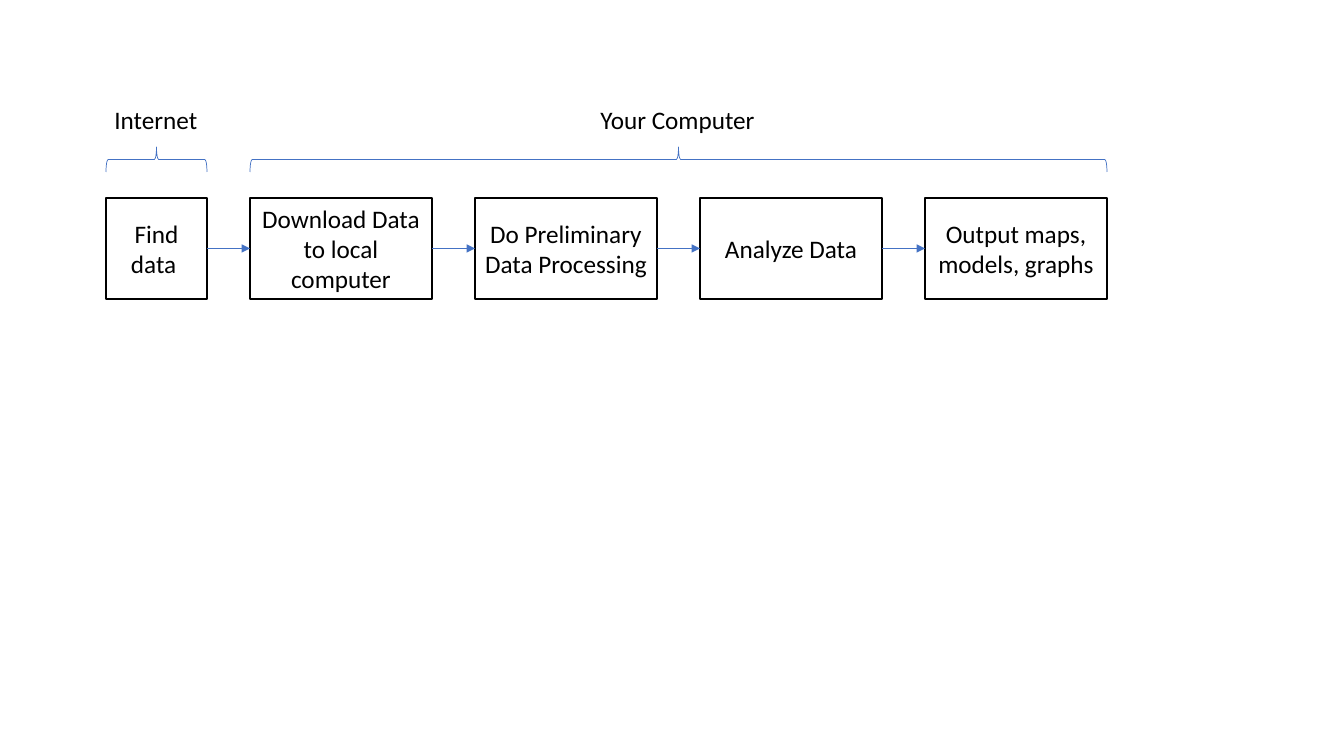
from pptx import Presentation, util as u
from pptx.dml.color import RGBColor
from pptx.enum import shapes, text
from pptx.oxml import ns, xmlchemy

# Content: each place with the steps done there and their box width
PLACES = [
    ("Internet", 104, 101, ["Find data "]),
    ("Your Computer", 176, 182, [
        "Download Data to local computer",
        "Do Preliminary Data Processing",
        "Analyze Data",
        "Output maps, models, graphs",
    ]),
]
COLORS = {"ink": "000000", "paper": "FFFFFF", "accent": "4472C4"}
FONT, TEXT_SIZE = "Calibri", 18

# Layout in px
SLIDE_W, SLIDE_H = 1344, 756
LEFT, GAP = 106, 43
STEP_TOP, STEP_H, STEP_INSET = 198, 101, 9
BRACE_TOP, BRACE_DEPTH = 147, 25
LABEL_TOP, LABEL_H = 99, 40


def px(length):
    return u.Emu(round(length * 914400 / 100.8))


def color(name):
    return RGBColor.from_string(COLORS[name])


def write(frame, words):
    run = frame.paragraphs[0].add_run()
    run.text = words
    run.font.name = FONT
    run.font.size = u.Pt(TEXT_SIZE)
    run.font.color.rgb = color("ink")


def outline(part, name, width):
    part.line.color.rgb = color(name)
    part.line.width = u.Pt(width)


def add_step(slide, words, left, width):
    step = slide.shapes.add_shape(shapes.MSO_SHAPE.RECTANGLE, px(left),
                                  px(STEP_TOP), px(width), px(STEP_H))
    step.shadow.inherit = False
    step.fill.solid()
    step.fill.fore_color.rgb = color("paper")
    outline(step, "ink", 1)
    frame = step.text_frame
    frame.word_wrap = True
    frame.margin_left = frame.margin_right = px(STEP_INSET)
    frame.vertical_anchor = text.MSO_ANCHOR.MIDDLE
    frame.paragraphs[0].alignment = text.PP_ALIGN.CENTER
    write(frame, words)
    return step


def add_arrow(slide, source, target):
    arrow = slide.shapes.add_connector(shapes.MSO_CONNECTOR.STRAIGHT, 0, 0, 0, 0)
    arrow.begin_connect(source, 3)
    arrow.end_connect(target, 1)
    outline(arrow, "accent", 0.5)
    head = xmlchemy.OxmlElement("a:tailEnd")
    head.set("type", "triangle")
    properties = arrow.line._get_or_add_ln().getparent()
    properties.find(ns.qn("a:ln")).append(head)
    properties.append(xmlchemy.OxmlElement("a:effectLst"))


def add_brace(slide, left, right):
    # A right brace turned to point up, rotated about its centre
    span = right - left
    middle_x = (left + right) / 2
    middle_y = BRACE_TOP + BRACE_DEPTH / 2
    brace = slide.shapes.add_shape(
        shapes.MSO_SHAPE.RIGHT_BRACE, px(middle_x - BRACE_DEPTH / 2),
        px(middle_y - span / 2), px(BRACE_DEPTH), px(span))
    brace.rotation = 270
    brace.shadow.inherit = False
    brace.fill.background()
    outline(brace, "accent", 0.5)


def add_label(slide, words, middle, width):
    label = slide.shapes.add_textbox(px(middle - width / 2), px(LABEL_TOP),
                                     px(width), px(LABEL_H))
    label.text_frame.word_wrap = False
    label.text_frame.auto_size = text.MSO_AUTO_SIZE.SHAPE_TO_FIT_TEXT
    write(label.text_frame, words)


def main():
    deck = Presentation()
    deck.slide_width, deck.slide_height = px(SLIDE_W), px(SLIDE_H)
    slide = deck.slides.add_slide(deck.slide_layouts[6])

    # Steps from left to right, each place under its brace and label
    steps, left = [], LEFT
    for place, label_width, step_width, tasks in PLACES:
        place_left = left
        for task in tasks:
            steps.append(add_step(slide, task, left, step_width))
            left += step_width + GAP
        place_right = left - GAP
        add_brace(slide, place_left, place_right)
        add_label(slide, place, (place_left + place_right) / 2, label_width)

    # Arrows between neighbouring steps
    for source, target in zip(steps, steps[1:]):
        add_arrow(slide, source, target)

    deck.save("out.pptx")


if __name__ == "__main__":
    main()
